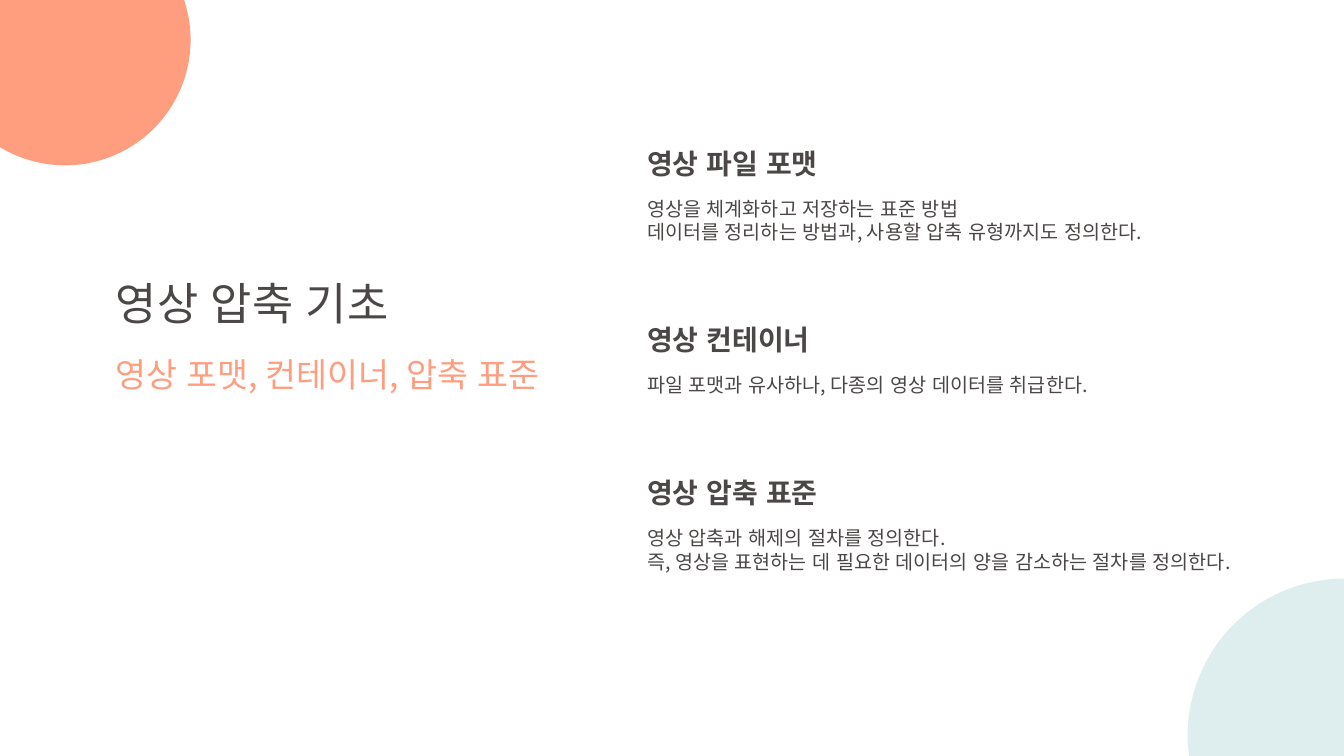
from lxml import etree
from pptx import Presentation
from pptx.dml.color import RGBColor
from pptx.enum import shapes, text
from pptx.oxml.ns import qn
from pptx.util import Inches, Pt

COLORS = {"coral": "FE9E7E", "mint": "C8E4E5", "ink": "4C4747"}


class SlideBuilder:
    font = "Noto Sans CJK KR"

    def __init__(self, slide):
        self.slide = slide

    def circle(self, left, top, size, color, opacity=100):
        sp = self.slide.shapes.add_shape(
            shapes.MSO_SHAPE.OVAL, Inches(left), Inches(top), Inches(size), Inches(size))
        sp.shadow.inherit = False
        sp.line.fill.background()
        sp.fill.solid()
        sp.fill.fore_color.rgb = RGBColor.from_string(COLORS[color])
        if opacity < 100:
            clr = sp.fill._xPr.find(qn("a:solidFill"))[0]
            etree.SubElement(clr, qn("a:alpha")).set("val", str(opacity * 1000))

    def group(self):
        return self.slide.shapes.add_group_shape()

    def label(self, group, left, top, width, height, lines, size, color="ink", bold=None):
        sp = group.shapes.add_textbox(
            Inches(left), Inches(top), Inches(width), Inches(height))
        tf = sp.text_frame
        tf.word_wrap = False
        tf.auto_size = text.MSO_AUTO_SIZE.SHAPE_TO_FIT_TEXT
        tf.text = "\n".join(lines)
        for p in tf.paragraphs:
            for r in p.runs:
                r.font.name = self.font
                r.font.size = Pt(size)
                r.font.bold = bold
                r.font.color.rgb = RGBColor.from_string(COLORS[color])
                rPr = r.font._element
                rPr.set("lang", "ko-KR")
                etree.SubElement(rPr, qn("a:ea")).set("typeface", self.font)


def main():
    prs = Presentation()
    prs.slide_width, prs.slide_height = Inches(13.33), Inches(7.5)
    s = SlideBuilder(prs.slides.add_slide(prs.slide_layouts[6]))

    # Corner circles
    s.circle(-0.6, -0.85, 2.49, "coral")
    s.circle(11.78, 5.74, 3.11, "mint", opacity=60)

    # Title and subtitle
    heading = s.group()
    s.label(heading, 1.05, 2.69, 3.21, 0.64, ["영상 압축 기초"], 32)
    s.label(heading, 1.05, 3.46, 4.87, 0.5, ["영상 포맷, 컨테이너, 압축 표준"], 24, "coral")

    # Topics: top, title width, title, body width, body lines
    topics = [
        (1.4, 2.08, "영상 파일 포맷", 5.56,
         ["영상을 체계화하고 저장하는 표준 방법",
          "데이터를 정리하는 방법과, 사용할 압축 유형까지도 정의한다."]),
        (3.15, 1.98, "영상 컨테이너", 4.98,
         ["파일 포맷과 유사하나, 다종의 영상 데이터를 취급한다."]),
        (4.67, 2.08, "영상 압축 표준", 6.56,
         ["영상 압축과 해제의 절차를 정의한다.",
          "즉, 영상을 표현하는 데 필요한 데이터의 양을 감소하는 절차를 정의한다."]),
    ]
    for top, title_width, title, body_width, body in topics:
        topic = s.group()
        s.label(topic, 6.32, top, title_width, 0.44, [title], 20, bold=True)
        s.label(topic, 6.32, top + 0.5, body_width, 0.1 + 0.235 * len(body), body, 14)

    prs.save("out.pptx")


if __name__ == "__main__":
    main()
